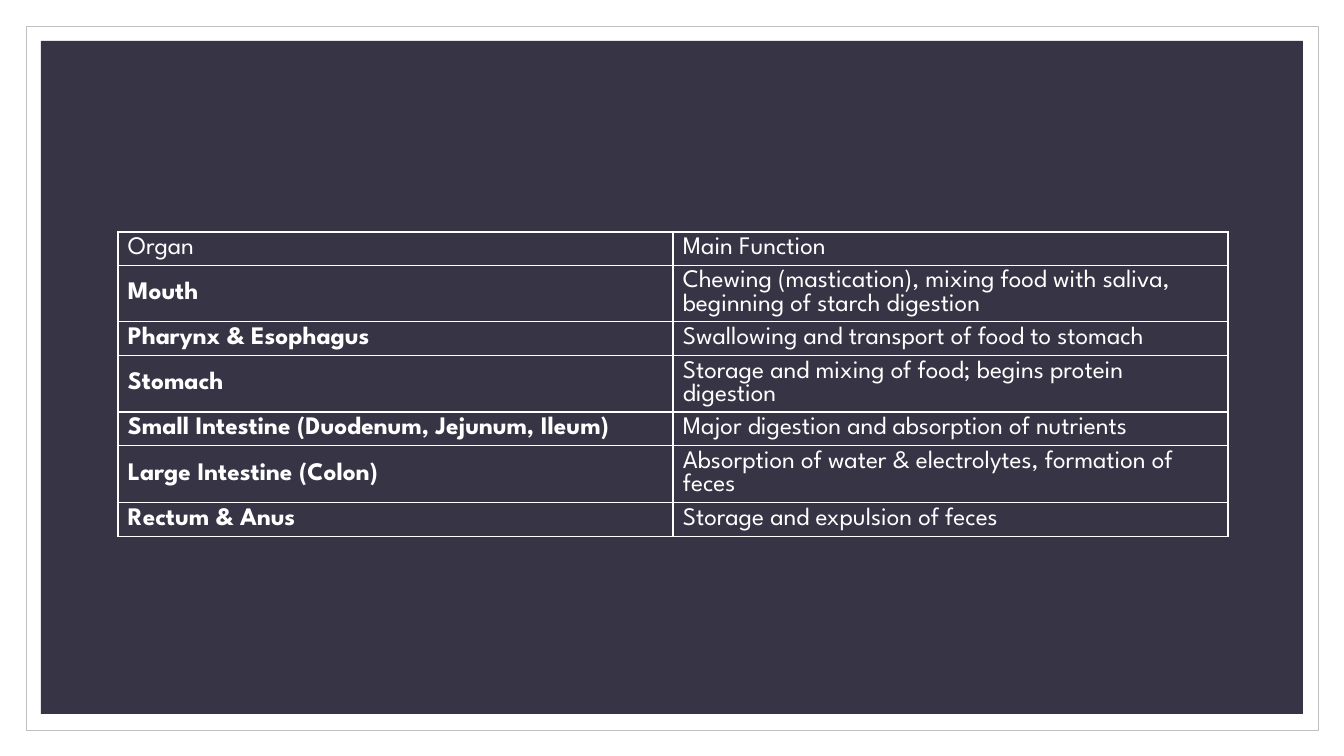
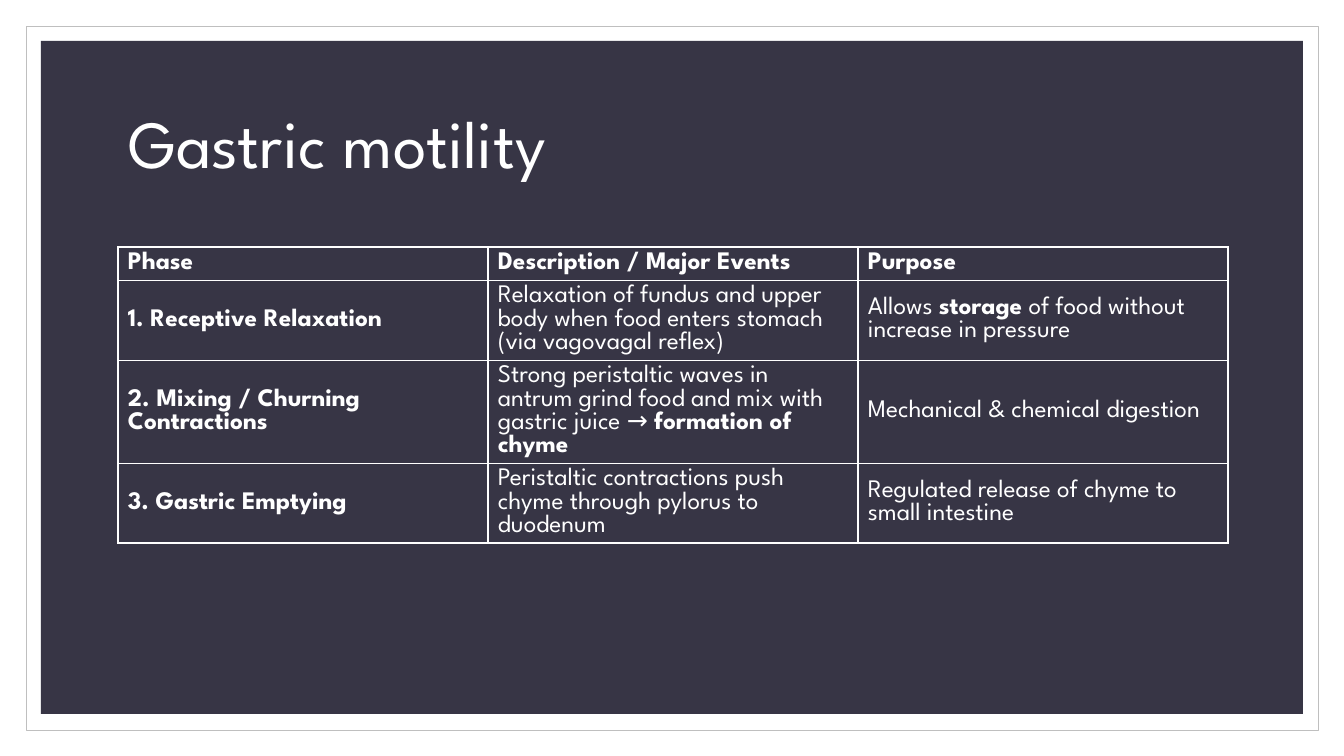
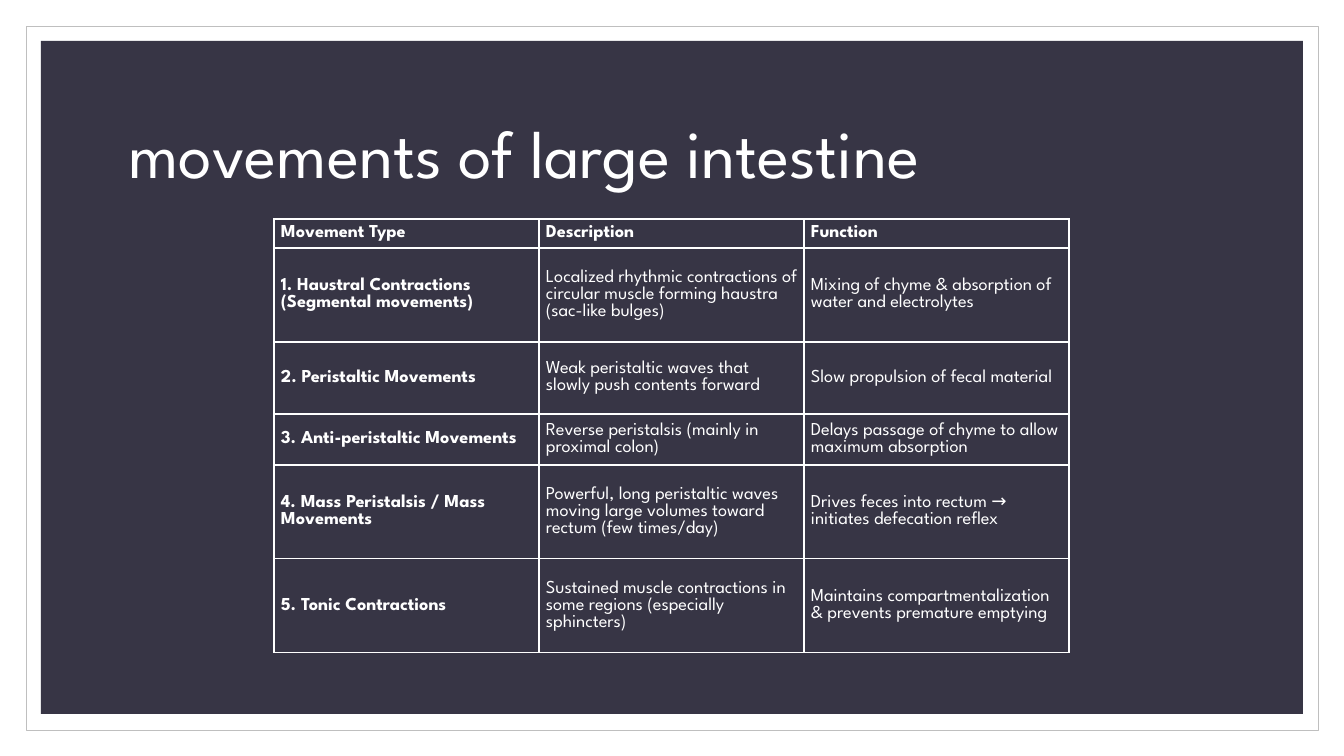
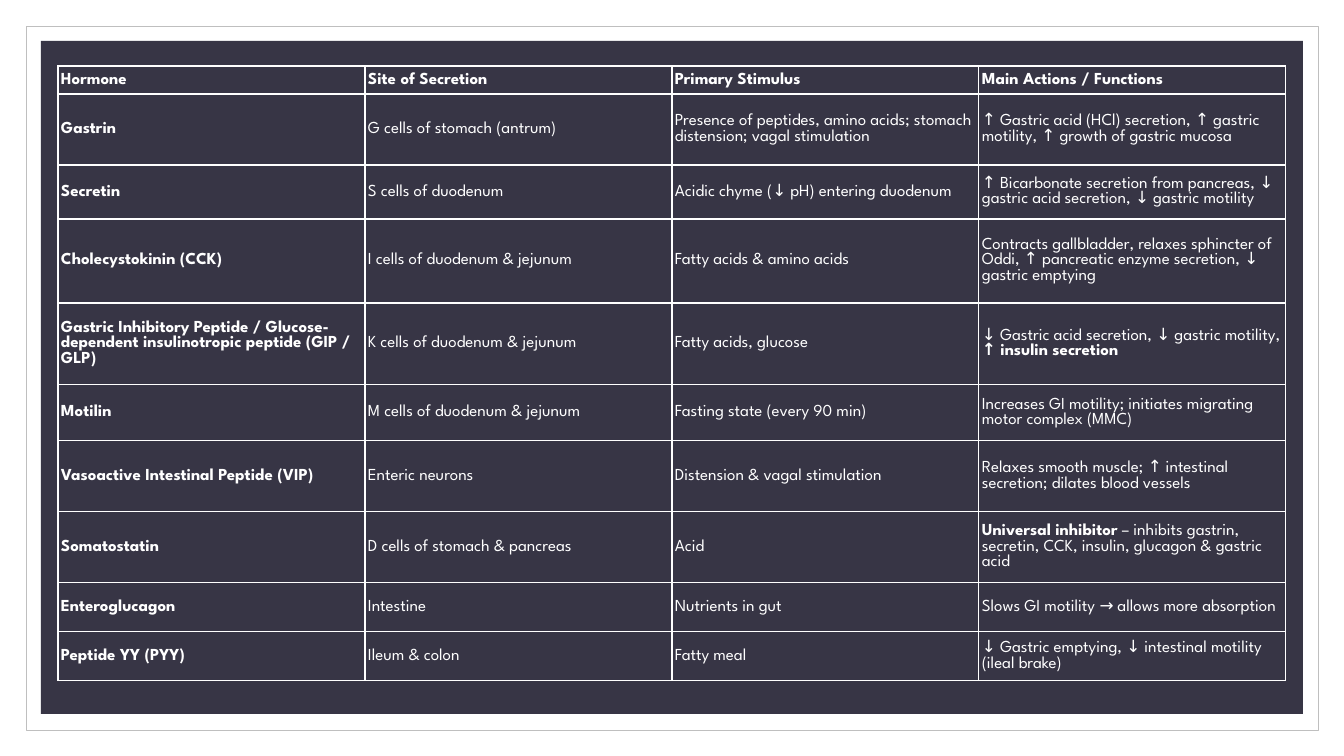
from dataclasses import dataclass

from lxml import etree
from pptx import Presentation
from pptx.dml.color import RGBColor
from pptx.enum.shapes import MSO_SHAPE
from pptx.enum.text import MSO_ANCHOR, MSO_AUTO_SIZE, PP_ALIGN
from pptx.oxml.ns import qn
from pptx.util import Pt

RECTANGLE = MSO_SHAPE.RECTANGLE
MIDDLE = MSO_ANCHOR.MIDDLE
NO_FIT = MSO_AUTO_SIZE.NONE
LEFT = PP_ALIGN.LEFT

EMU_PER_PX = 914400 / 100.8
SLIDE_SIZE = (1344, 756)
TITLE_ONLY, BLANK = 5, 6


@dataclass(frozen=True)
class Theme:
    font: str = "League Spartan"
    white: str = "FFFFFF"
    panel: str = "373545"
    frame_line: str = "BFBFBF"
    title_size: int = 48
    large: int = 18
    medium: int = 13
    small: int = 12


THEME = Theme()

ORGANS = [
    ["Organ", "Main Function"],
    ["Mouth", "Chewing (mastication), mixing food with saliva, beginning of starch digestion"],
    ["Pharynx & Esophagus", "Swallowing and transport of food to stomach"],
    ["Stomach", "Storage and mixing of food; begins protein digestion"],
    ["Small Intestine (Duodenum, Jejunum, Ileum)", "Major digestion and absorption of nutrients"],
    ["Large Intestine (Colon)", "Absorption of water & electrolytes, formation of feces"],
    ["Rectum & Anus", "Storage and expulsion of feces"],
]

# Double asterisks enclose bold words
GASTRIC_PHASES = [
    ["Phase", "Description / Major Events", "Purpose"],
    ["1. Receptive Relaxation",
     "Relaxation of fundus and upper body when food enters stomach (via vagovagal reflex)",
     "Allows **storage** of food without increase in pressure"],
    ["2. Mixing / Churning Contractions",
     "Strong peristaltic waves in antrum grind food and mix with gastric juice → "
     "**formation of chyme**",
     "Mechanical & chemical digestion"],
    ["3. Gastric Emptying",
     "Peristaltic contractions push chyme through pylorus to duodenum",
     "Regulated release of chyme to small intestine"],
]

COLON_MOVEMENTS = [
    ["Movement Type", "Description", "Function"],
    ["1. Haustral Contractions (Segmental movements)",
     "Localized rhythmic contractions of circular muscle forming haustra (sac-like bulges)",
     "Mixing of chyme & absorption of water and electrolytes"],
    ["2. Peristaltic Movements",
     "Weak peristaltic waves that slowly push contents forward",
     "Slow propulsion of fecal material"],
    ["3. Anti-peristaltic Movements",
     "Reverse peristalsis (mainly in proximal colon)",
     "Delays passage of chyme to allow maximum absorption"],
    ["4. Mass Peristalsis / Mass Movements",
     "Powerful, long peristaltic waves moving large volumes toward rectum (few times/day)",
     "Drives feces into rectum → initiates defecation reflex"],
    ["5. Tonic Contractions",
     "Sustained muscle contractions in some regions (especially sphincters)",
     "Maintains compartmentalization & prevents premature emptying"],
]

HORMONES = [
    ["Hormone", "Site of Secretion", "Primary Stimulus", "Main Actions / Functions"],
    ["Gastrin", "G cells of stomach (antrum)",
     "Presence of peptides, amino acids; stomach distension; vagal stimulation",
     "↑ Gastric acid (HCl) secretion, ↑ gastric motility, ↑ growth of gastric mucosa"],
    ["Secretin", "S cells of duodenum", "Acidic chyme (↓ pH) entering duodenum",
     "↑ Bicarbonate secretion from pancreas, ↓ gastric acid secretion, ↓ gastric motility"],
    ["Cholecystokinin (CCK)", "I cells of duodenum & jejunum", "Fatty acids & amino acids",
     "Contracts gallbladder, relaxes sphincter of Oddi, ↑ pancreatic enzyme secretion, "
     "↓ gastric emptying"],
    ["Gastric Inhibitory Peptide / Glucose-dependent insulinotropic peptide (GIP / GLP)",
     "K cells of duodenum & jejunum", "Fatty acids, glucose",
     "↓ Gastric acid secretion, ↓ gastric motility, **↑ insulin secretion**"],
    ["Motilin", "M cells of duodenum & jejunum", "Fasting state (every 90 min)",
     "Increases GI motility; initiates migrating motor complex (MMC)"],
    ["Vasoactive Intestinal Peptide (VIP)", "Enteric neurons", "Distension & vagal stimulation",
     "Relaxes smooth muscle; ↑ intestinal secretion; dilates blood vessels"],
    ["Somatostatin", "D cells of stomach & pancreas", "Acid",
     "**Universal inhibitor** – inhibits gastrin, secretin, CCK, insulin, glucagon & gastric acid"],
    ["Enteroglucagon", "Intestine", "Nutrients in gut",
     "Slows GI motility → allows more absorption"],
    ["Peptide YY (PYY)", "Ileum & colon", "Fatty meal",
     "↓ Gastric emptying, ↓ intestinal motility (ileal brake)"],
]


def px(length):
    return round(length * EMU_PER_PX)


def rgb(color):
    return RGBColor.from_string(color)


def style_font(font, size, bold=False):
    font.name = THEME.font
    font.size = Pt(size)
    font.bold = bold
    font.color.rgb = rgb(THEME.white)


# Shared background
def add_panel(slide, box, fill, line=None):
    panel = slide.shapes.add_shape(RECTANGLE, *map(px, box))
    panel.shadow.inherit = False
    panel.fill.solid()
    panel.fill.fore_color.rgb = rgb(fill)
    if line:
        panel.line.color.rgb = rgb(line)
        panel.line.width = Pt(0.5)
    else:
        panel.line.fill.background()
    return panel


def move_to_master(master, panels):
    """Put the panels behind everything else on the master."""
    tree = master.shapes.element
    first_id = max(shape.shape_id for shape in master.shapes) + 1
    for index, panel in enumerate(panels):
        element = panel.element
        element.nvSpPr.cNvPr.set("id", str(first_id + index))
        tree.insert(2 + index, element)


# Title
def set_title(slide, text, box):
    title = slide.shapes.title
    title.left, title.top, title.width, title.height = map(px, box)
    frame = title.text_frame
    frame.text = text
    frame.word_wrap = True
    frame.auto_size = NO_FIT
    frame.vertical_anchor = MIDDLE
    heading = frame.paragraphs[0]
    heading.alignment = LEFT
    heading.line_spacing = 0.9
    style_font(heading.runs[0].font, THEME.title_size)


# Tables
def set_borders(cell):
    properties = cell._tc.get_or_add_tcPr()
    for index, side in enumerate(("a:lnL", "a:lnR", "a:lnT", "a:lnB")):
        line = etree.Element(qn(side), w=str(Pt(1)))
        fill = etree.SubElement(line, qn("a:solidFill"))
        etree.SubElement(fill, qn("a:srgbClr"), val=THEME.white)
        properties.insert(index, line)


def fill_cell(cell, text, size, bold, insets):
    cell.vertical_anchor = MIDDLE
    cell.margin_left = cell.margin_right = px(insets[0])
    cell.margin_top = cell.margin_bottom = px(insets[1])
    cell.fill.background()
    set_borders(cell)
    paragraph = cell.text_frame.paragraphs[0]
    for index, part in enumerate(text.split("**")):
        if part:
            run = paragraph.add_run()
            run.text = part
            style_font(run.font, size, bold or index % 2 == 1)


def add_grid(slide, records, corner, column_width, row_heights, size, insets=(10, 5),
             bold_header=True):
    column_count = len(records[0])
    table = slide.shapes.add_table(
        len(records), column_count, *map(px, corner),
        px(column_width * column_count), px(sum(row_heights))).table
    table.first_row = table.horz_banding = False
    for column in table.columns:
        column.width = px(column_width)
    for r, (record, height) in enumerate(zip(records, row_heights)):
        table.rows[r].height = px(height)
        for c, text in enumerate(record):
            bold = bold_header if r == 0 else c == 0
            fill_cell(table.cell(r, c), text, size, bold, insets)


def main():
    deck = Presentation()
    deck.slide_width, deck.slide_height = map(px, SLIDE_SIZE)
    organs, gastric, colon, hormones = (
        deck.slides.add_slide(deck.slide_layouts[layout])
        for layout in (BLANK, TITLE_ONLY, TITLE_ONLY, BLANK))

    move_to_master(deck.slide_master, [
        add_panel(organs, (26, 26, 1292, 704), THEME.white, THEME.frame_line),
        add_panel(organs, (41, 41, 1262, 673), THEME.panel),
    ])

    # Organs and their functions
    add_grid(organs, ORGANS, (118, 232), 555, (33, 56, 34, 56, 34, 56, 34),
             THEME.large, bold_header=False)

    # Gastric motility
    set_title(gastric, "Gastric motility", (118, 71, 1109, 151))
    add_grid(gastric, GASTRIC_PHASES, (118, 247), 370, (33, 80, 103, 80), THEME.large)

    # Large intestine
    set_title(colon, "movements of large intestine", (118, 81, 1109, 151))
    add_grid(colon, COLON_MOVEMENTS, (274, 219), 265, (29, 94, 72, 51, 94, 94),
             THEME.medium, (7, 4))

    # Hormones
    add_grid(hormones, HORMONES, (58, 66), 307, (28, 71, 54, 84, 82, 56, 71, 71, 49, 49),
             THEME.small, (3, 2))

    deck.save("out.pptx")


if __name__ == "__main__":
    main()
